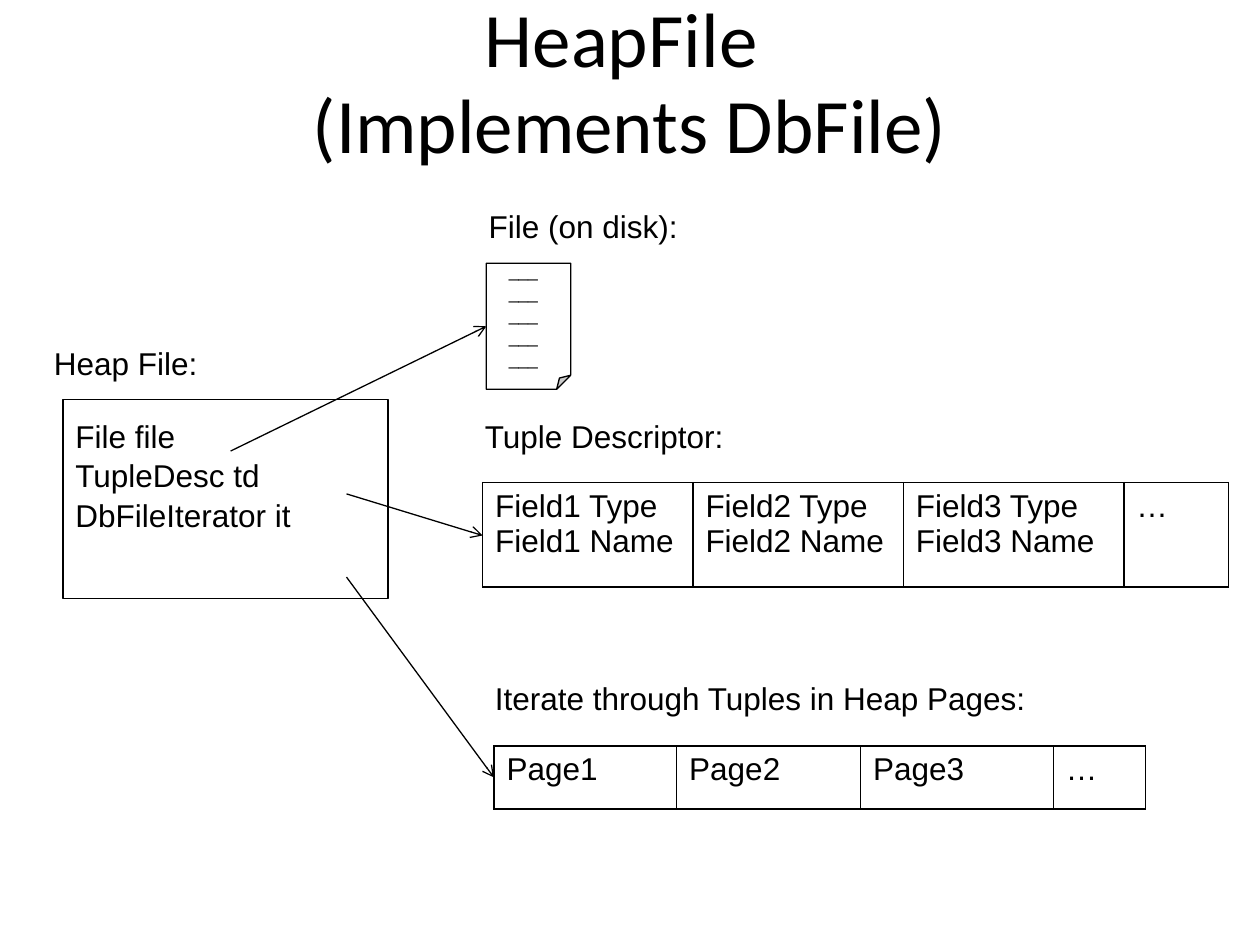
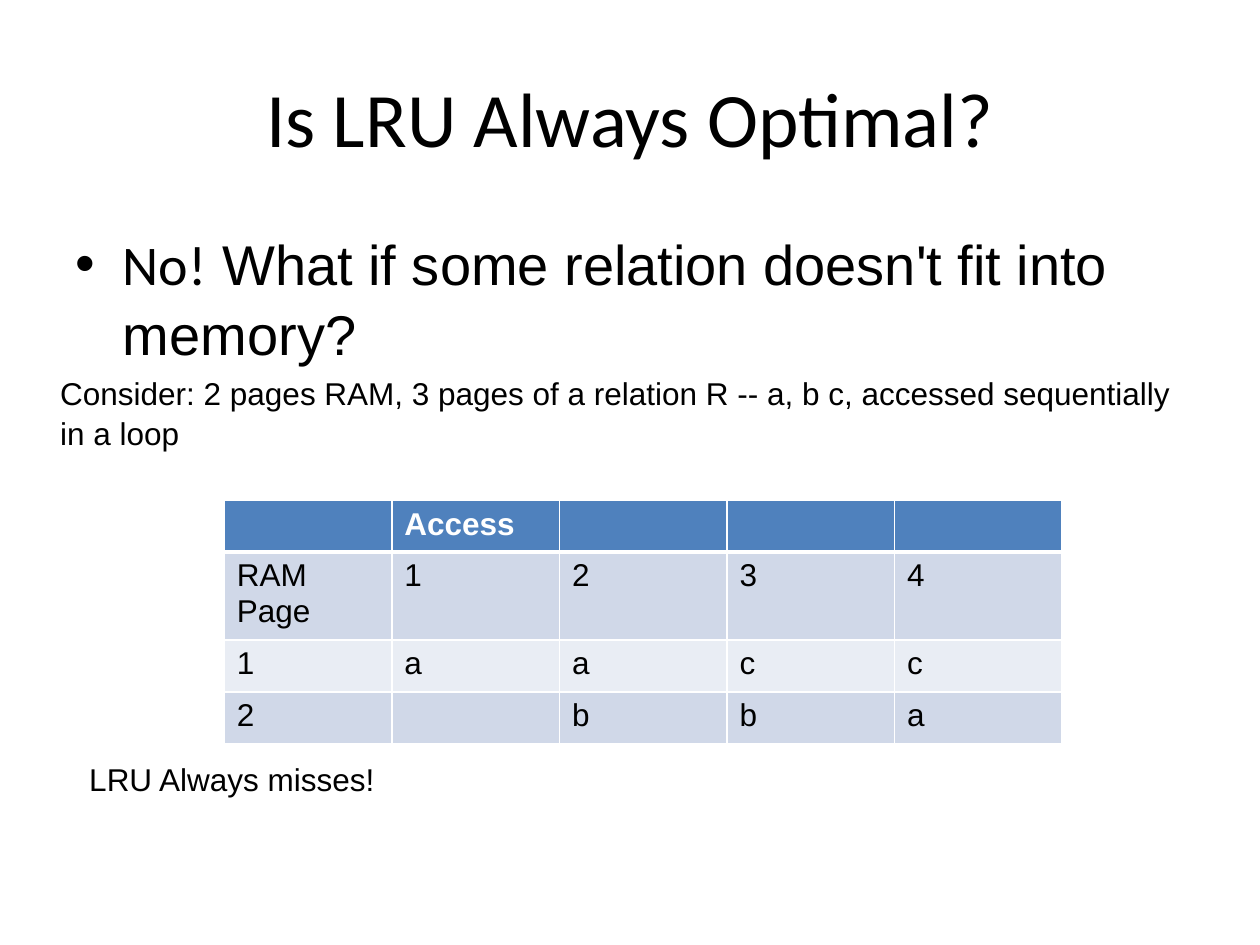
"""Build two database slides: the heap file structure and an LRU counterexample."""
from dataclasses import dataclass

from lxml.etree import SubElement
from pptx import Presentation
from pptx.dml.color import RGBColor
from pptx.enum.shapes import MSO_CONNECTOR as Connector, MSO_SHAPE as Shape
from pptx.enum.text import MSO_ANCHOR as Anchor, MSO_AUTO_SIZE as AutoSize, PP_ALIGN as Align
from pptx.oxml.ns import qn
from pptx.util import Inches, Pt

COLORS = {
    "black": "000000",
    "white": "FFFFFF",
    "header": "4F81BD",
    "band_dark": "D0D8E8",
    "band_light": "E9EDF4",
}
TITLE_FONT, TEXT_FONT = "Calibri", "Arial"
TITLE_ONLY, TITLE_AND_CONTENT = 5, 1
LOOSE = 1.04


@dataclass
class Label:
    left: float
    top: float
    width: float
    height: float
    text: str
    size: float = 18


@dataclass
class Grid:
    left: float
    top: float
    columns: list[float]
    heights: list[float]
    rows: list[list[str]]
    border: str = "black"
    fills: tuple[str, ...] = ()
    header: bool = False


@dataclass
class Arrow:
    start: tuple[float, float]
    end: tuple[float, float]


HEAP_LABELS = [
    Label(0.33, 2.67, 1.74, 0.51, "Heap File:"),
    Label(0.5, 3.25, 2.58, 1.31, "File file\nTupleDesc td\nDbFileIterator it"),
    Label(3.94, 2.01, 0.5, 0.94, "_" * 15, 10),
    Label(3.78, 1.58, 2.22, 0.51, "File (on disk):"),
    Label(3.75, 3.25, 2.75, 0.51, "Tuple Descriptor:"),
    Label(3.83, 5.33, 5.87, 0.51, "Iterate through Tuples in Heap Pages:"),
]
HEAP_GRIDS = [
    Grid(3.83, 3.83, [1.67, 1.67, 1.75, 0.83], [0.83],
         [[f"Field{n} Type\nField{n} Name" for n in (1, 2, 3)] + ["…"]]),
    Grid(3.92, 5.92, [1.45, 1.46, 1.53, 0.73], [0.5],
         [[f"Page{n}" for n in (1, 2, 3)] + ["…"]]),
]
FILE_ARROW = Arrow((1.83, 3.58), (3.86, 2.59))
TABLE_ARROWS = [Arrow((2.75, 3.92), (3.83, 4.25)), Arrow((2.75, 4.58), (3.92, 6.17))]

LRU_LABELS = [
    Label(0.38, 2.91, 9.24, 0.7,
          "Consider: 2 pages RAM, 3 pages of a relation R -- a, b c, accessed sequentially in a loop"),
    Label(0.61, 5.97, 4.29, 0.4, "LRU Always misses!"),
]
LRU_GRID = Grid(
    1.78, 3.97, [1.33] * 5, [0.41, 0.7, 0.41, 0.41],
    [
        ["", "Access", "", "", ""],
        ["RAM Page", "1", "2", "3", "4"],
        ["1", "a", "a", "c", "c"],
        ["2", "", "b", "b", "a"],
    ],
    "white", ("header", "band_dark", "band_light", "band_dark"), True,
)


def rgb(name: str) -> RGBColor:
    return RGBColor.from_string(COLORS[name])


def style_font(font, size: float, face: str = TEXT_FONT, color: str = "black", bold: bool = False) -> None:
    font.size, font.name, font.bold = Pt(size), face, bold
    font.color.rgb = rgb(color)


def place(shape, left: float, top: float, width: float, height: float) -> None:
    shape.left, shape.top = Inches(left), Inches(top)
    shape.width, shape.height = Inches(width), Inches(height)


def set_title(page, text: str, box: tuple[float, float, float, float], spacing: float = 1.0) -> None:
    title = page.shapes.title
    place(title, *box)
    frame = title.text_frame
    frame.text = text
    frame.auto_size, frame.vertical_anchor = AutoSize.NONE, Anchor.MIDDLE
    para = frame.paragraphs[0]
    para.alignment, para.line_spacing = Align.CENTER, spacing
    style_font(para.font, 44, TITLE_FONT)


def add_label(page, label: Label) -> None:
    box = page.shapes.add_textbox(
        Inches(label.left), Inches(label.top), Inches(label.width), Inches(label.height))
    frame = box.text_frame
    frame.word_wrap = True
    frame.text = label.text
    for para in frame.paragraphs:
        para.line_spacing = LOOSE
        style_font(para.font, label.size)


def add_outline(page, kind: Shape, box: tuple[float, float, float, float], fill: str = ""):
    shape = page.shapes.add_shape(kind, *map(Inches, box))
    shape.shadow.inherit = False
    if fill:
        shape.fill.solid()
        shape.fill.fore_color.rgb = rgb(fill)
    else:
        shape.fill.background()
    shape.line.color.rgb = rgb("black")
    shape.line.width = Pt(0.75)
    return shape


def add_arrow(page, arrow: Arrow):
    connector = page.shapes.add_connector(
        Connector.STRAIGHT, *map(Inches, arrow.start + arrow.end))
    connector.line.color.rgb = rgb("black")
    connector.line.width = Pt(0.75)
    SubElement(connector.line._get_or_add_ln(), qn("a:tailEnd"), type="arrow")
    SubElement(connector._element.spPr, qn("a:effectLst"))
    return connector


def set_borders(cell, color: str, widths: dict[str, float]) -> None:
    properties = cell._tc.get_or_add_tcPr()
    for index, (side, width) in enumerate(widths.items()):
        line = SubElement(properties, qn(f"a:ln{side}"), w=str(Pt(width)))
        properties.insert(index, line)
        fill = SubElement(line, qn("a:solidFill"))
        SubElement(fill, qn("a:srgbClr"), val=COLORS[color])


def add_grid(page, grid: Grid) -> None:
    table = page.shapes.add_table(
        len(grid.rows), len(grid.columns), Inches(grid.left), Inches(grid.top),
        Inches(sum(grid.columns)), Inches(sum(grid.heights))).table
    table.first_row, table.horz_banding = grid.header, False
    for column, width in zip(table.columns, grid.columns):
        column.width = Inches(width)
    for r, (texts, height) in enumerate(zip(grid.rows, grid.heights)):
        table.rows[r].height = Inches(height)
        is_header = grid.header and r == 0
        widths = {
            "L": 1, "R": 1,
            "T": 3 if grid.header and r == 1 else 1,
            "B": 3 if is_header else 1,
        }
        for c, text in enumerate(texts):
            cell = table.cell(r, c)
            cell.text = text
            for para in cell.text_frame.paragraphs:
                style_font(para.font, 18, color="white" if is_header else "black", bold=is_header)
            if grid.fills:
                cell.fill.solid()
                cell.fill.fore_color.rgb = rgb(grid.fills[r])
            else:
                cell.fill.background()
            set_borders(cell, grid.border, widths)


def build_heap_file(deck) -> None:
    page = deck.slides.add_slide(deck.slide_layouts[TITLE_ONLY])
    set_title(page, "HeapFile \v(Implements DbFile)", (0.75, 0.17, 8.5, 1), 0.93)
    add_outline(page, Shape.RECTANGLE, (0.5, 3.17, 2.58, 1.58))
    disk_file = add_outline(page, Shape.FOLDED_CORNER, (3.86, 2.09, 0.67, 1), "white")
    for label in HEAP_LABELS:
        add_label(page, label)
    for grid in HEAP_GRIDS:
        add_grid(page, grid)
    add_arrow(page, FILE_ARROW).end_connect(disk_file, 1)
    for arrow in TABLE_ARROWS:
        add_arrow(page, arrow)


def build_lru(deck) -> None:
    page = deck.slides.add_slide(deck.slide_layouts[TITLE_AND_CONTENT])
    set_title(page, "Is LRU Always Optimal?", (0.5, 0.3, 9, 1.25))
    body = page.placeholders[1]
    place(body, 0.5, 1.75, 9, 4.95)
    body.text_frame.auto_size = AutoSize.NONE
    para = body.text_frame.paragraphs[0]
    para.line_spacing = LOOSE
    for text, face in (("No!", TITLE_FONT), (" What if some relation doesn't fit into memory?", TEXT_FONT)):
        span = para.add_run()
        span.text = text
        style_font(span.font, 32, face)
    for label in LRU_LABELS:
        add_label(page, label)
    add_grid(page, LRU_GRID)


def main() -> None:
    deck = Presentation()
    deck.slide_width, deck.slide_height = Inches(10), Inches(7.5)
    build_heap_file(deck)
    build_lru(deck)
    deck.save("out.pptx")


if __name__ == "__main__":
    main()
